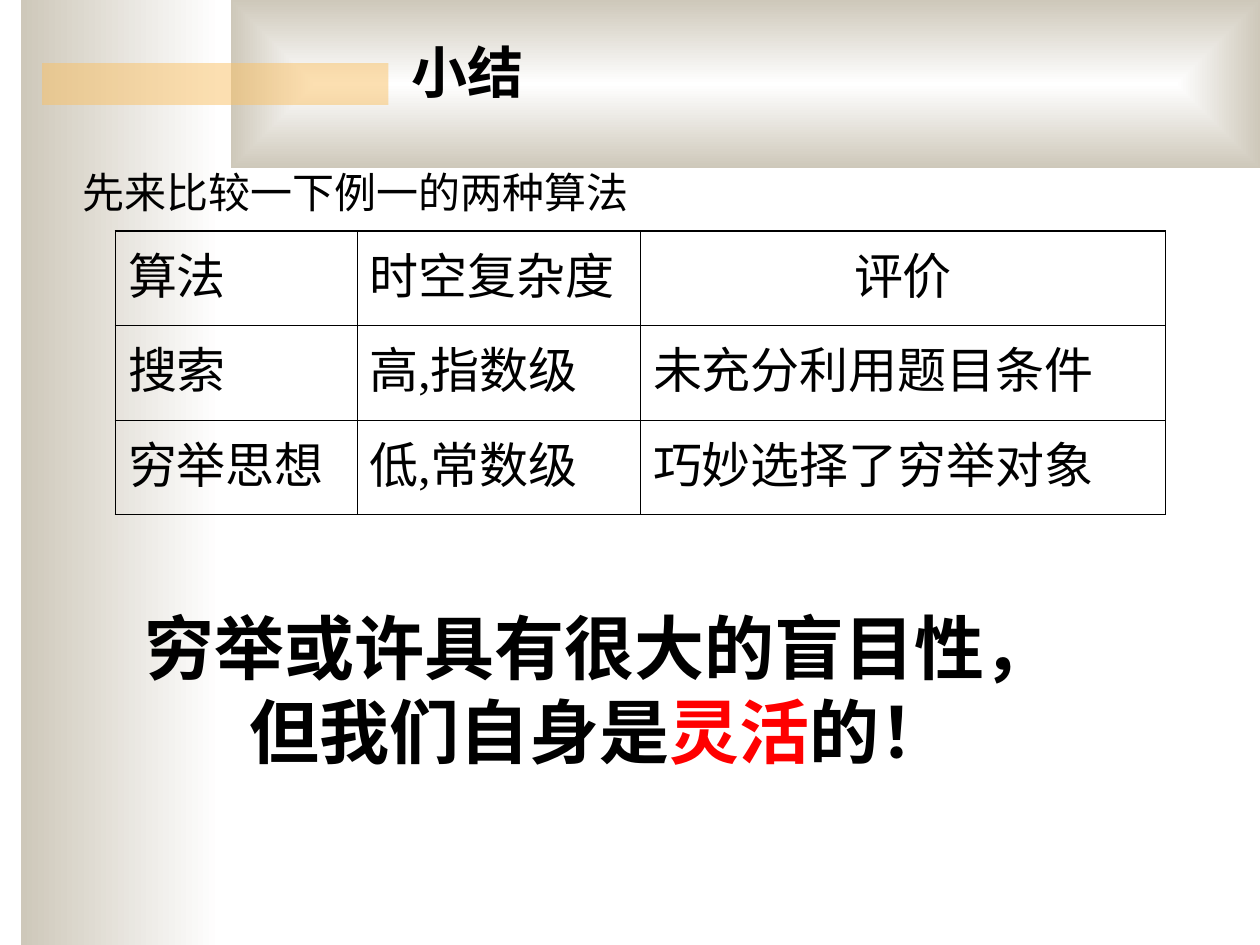
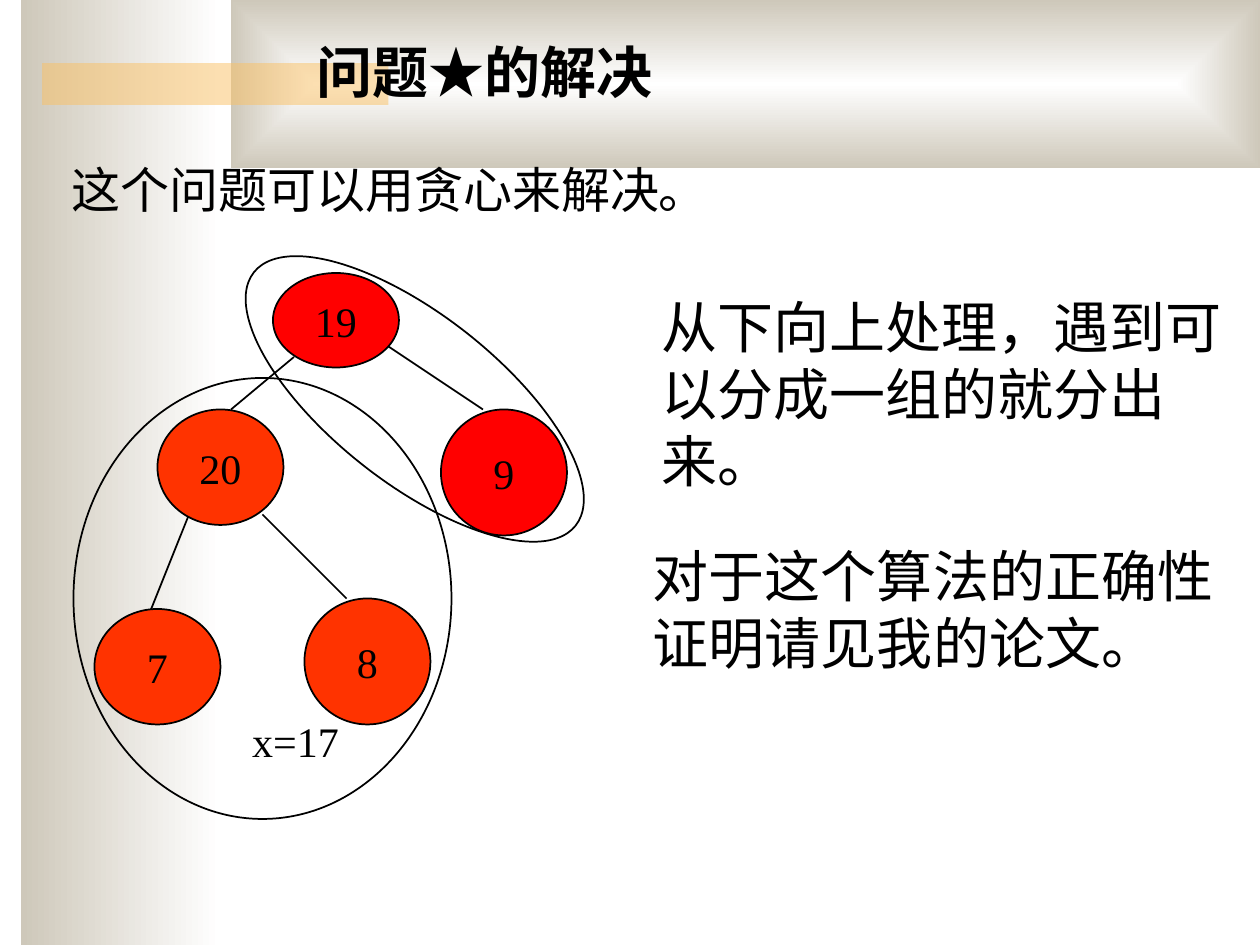
"""Build two slides that compare the algorithms and solve the star problem."""
from lxml.etree import SubElement
from pptx import Presentation
from pptx.dml.color import RGBColor
from pptx.enum.shapes import MSO_CONNECTOR, MSO_SHAPE
from pptx.enum.text import MSO_ANCHOR, PP_ALIGN
from pptx.oxml.ns import qn
from pptx.util import Pt

BLACK = RGBColor(0x00, 0x00, 0x00)
WHITE = RGBColor(0xFF, 0xFF, 0xFF)
TAN = RGBColor(0xCE, 0xC8, 0xBA)
GOLD = RGBColor(0xFA, 0xC1, 0x64)
RED = RGBColor(0xFF, 0x00, 0x00)
ORANGE = RGBColor(0xFF, 0x33, 0x00)

BODY = {"name": "Times New Roman", "size": Pt(24), "bold": False}
TABLE_TEXT = BODY | {"size": Pt(28)}
LARGE = BODY | {"size": Pt(32)}
TITLE = LARGE | {"bold": True}
CONCLUSION = TITLE | {"size": Pt(40)}

OUTER_BORDER = 1.08
INNER_BORDER = 0.45


def points(*lengths):
    """Return the lengths as point values."""
    return [Pt(length) for length in lengths]


def write_text(frame, runs, font_format, alignment=PP_ALIGN.LEFT):
    """Write (text, colour) runs into a frame, keeping punctuation inside it."""
    paragraph = frame.paragraphs[0]
    paragraph.alignment = alignment
    paragraph._p.get_or_add_pPr().set("hangingPunct", "0")
    for text, color in runs:
        run = paragraph.add_run()
        run.text = text
        for name, value in font_format.items():
            setattr(run.font, name, value)
        run.font.color.rgb = color


def add_text(slide, box, runs, font_format, wrap=True, alignment=PP_ALIGN.LEFT):
    """Add a text box; a plain string becomes one black run."""
    frame = slide.shapes.add_textbox(*points(*box)).text_frame
    frame.word_wrap = wrap
    if isinstance(runs, str):
        runs = [(runs, BLACK)]
    write_text(frame, runs, font_format, alignment)


def add_plain_shape(slide, kind, box):
    """Add a preset shape without shadow, fill or line."""
    shape = slide.shapes.add_shape(kind, *points(*box))
    shape.shadow.inherit = False
    shape.fill.background()
    shape.line.fill.background()
    return shape


def add_gradient_band(slide, box):
    """Add a rectangle that fades from white at the right to tan at the left."""
    band = add_plain_shape(slide, MSO_SHAPE.RECTANGLE, box)
    band.fill.gradient()
    band.fill.gradient_angle = 180
    for stop, color, position in zip(band.fill.gradient_stops, (WHITE, TAN), (0, 1)):
        stop.color.rgb = color
        stop.position = position
    return band


def fade_from_centre(band):
    """Turn the linear gradient of a band into a rectangular one."""
    gradient = band.fill._xPr.find(qn("a:gradFill"))
    gradient.remove(gradient.find(qn("a:lin")))
    centre = SubElement(gradient, qn("a:path"), {"path": "rect"})
    sides = dict.fromkeys("ltrb", "50000")
    SubElement(centre, qn("a:fillToRect"), sides)


def add_decorated_slide(presentation, title, title_box):
    """Add a blank slide with the shared bands and a title."""
    slide = presentation.slides.add_slide(presentation.slide_layouts[6])
    add_gradient_band(slide, (12, 0, 114, 540))
    fade_from_centre(add_gradient_band(slide, (132, 0, 588, 96)))
    accent = add_plain_shape(slide, MSO_SHAPE.RECTANGLE, (24, 36, 198, 24))
    accent.fill.solid()
    accent.fill.fore_color.rgb = GOLD
    color = accent.fill._xPr.find(f"{qn('a:solidFill')}/{qn('a:srgbClr')}")
    SubElement(color, qn("a:alpha"), {"val": "50000"})
    add_text(slide, title_box, title, TITLE)
    return slide


def set_cell_borders(cell, widths):
    """Give a cell black borders with widths for left, right, top and bottom."""
    properties = cell._tc.get_or_add_tcPr()
    for side, width in zip("LRTB", widths):
        line = SubElement(properties, qn(f"a:ln{side}"), {"w": str(Pt(width))})
        fill = SubElement(line, qn("a:solidFill"))
        SubElement(fill, qn("a:srgbClr"), {"val": str(BLACK)})


def add_comparison_table(slide, box, column_widths, rows):
    """Add an unfilled table with a heavier outer border."""
    last_row, last_column = len(rows) - 1, len(column_widths) - 1
    table = slide.shapes.add_table(len(rows), len(column_widths), *points(*box)).table
    table.first_row = table.horz_banding = False
    for column, width in zip(table.columns, column_widths):
        column.width = Pt(width)
    for row_index, texts in enumerate(rows):
        for column_index, text in enumerate(texts):
            cell = table.cell(row_index, column_index)
            edges = (column_index == 0, column_index == last_column,
                     row_index == 0, row_index == last_row)
            set_cell_borders(cell, [OUTER_BORDER if edge else INNER_BORDER
                                    for edge in edges])
            cell.fill.background()
            centred = row_index == 0 and column_index == last_column
            write_text(cell.text_frame, [(text, BLACK)], TABLE_TEXT,
                       PP_ALIGN.CENTER if centred else PP_ALIGN.LEFT)


def add_outline_ellipse(slide, box, rotation=0):
    """Add an ellipse with a thin black outline."""
    ellipse = add_plain_shape(slide, MSO_SHAPE.OVAL, box)
    ellipse.line.color.rgb = BLACK
    ellipse.line.width = Pt(1)
    ellipse.rotation = rotation
    return ellipse


def add_node(slide, label, box, color):
    """Add a filled tree node with a centred label."""
    node = add_outline_ellipse(slide, box)
    node.fill.solid()
    node.fill.fore_color.rgb = color
    node.text_frame.word_wrap = False
    node.text_frame.vertical_anchor = MSO_ANCHOR.MIDDLE
    write_text(node.text_frame, [(label, BLACK)], BODY, PP_ALIGN.CENTER)


def add_branch(slide, ends):
    """Add a thin black line between two tree nodes."""
    branch = slide.shapes.add_connector(MSO_CONNECTOR.STRAIGHT, *points(*ends))
    branch.line.color.rgb = BLACK
    branch.line.width = Pt(1)
    SubElement(branch._element.spPr, qn("a:effectLst"))


def build_summary_slide(presentation):
    """Build the slide that compares the two algorithms."""
    slide = add_decorated_slide(presentation, "小结", (228, 18, 324, 46))
    add_text(slide, (40, 91.5, 330, 36), "先来比较一下例一的两种算法", BODY, wrap=False)
    rows = [
        ("算法", "时空复杂度", "评价"),
        ("搜索", "高,指数级", "未充分利用题目条件"),
        ("穷举思想", "低,常数级", "巧妙选择了穷举对象"),
    ]
    add_comparison_table(slide, (66, 132, 600, 162), (138, 162, 300), rows)
    conclusion = [("穷举或许具有很大的盲目性，但我们自身是", BLACK), ("灵活", RED), ("的！", BLACK)]
    add_text(slide, (66, 342, 553, 104), conclusion, CONCLUSION,
             alignment=PP_ALIGN.CENTER)


def build_solution_slide(presentation):
    """Build the slide that groups the tree nodes from the bottom up."""
    slide = add_decorated_slide(presentation, "问题★的解决", (174, 18, 432, 46))
    add_text(slide, (34, 87.5, 382, 41), "这个问题可以用贪心来解决。", TABLE_TEXT, wrap=False)
    branches = [(168, 204, 132, 234), (108, 294, 84, 354),
                (150, 294, 198, 342), (222, 198, 276, 234)]
    for ends in branches:
        add_branch(slide, ends)
    add_text(slide, (137, 405.5, 64, 36), "x=17", BODY, wrap=False)
    add_text(slide, (371, 163.5, 349, 84), "从下向上处理，遇到可以分成一组的就分出来。", LARGE)
    nodes = [
        ("7", (54, 348, 72, 66), ORANGE),
        ("8", (174, 342, 72, 72), ORANGE),
        ("20", (90, 234, 72, 66), ORANGE),
        ("9", (252, 234, 72, 72), RED),
        ("19", (156, 156, 72, 54), RED),
    ]
    for label, box, color in nodes:
        add_node(slide, label, box, color)
    add_outline_ellipse(slide, (42, 216, 216, 252))
    add_outline_ellipse(slide, (120, 180, 234, 96), rotation=38.2)
    add_text(slide, (366, 306, 337, 84), "对于这个算法的正确性证明请见我的论文。", LARGE)


def main():
    """Build and save the presentation."""
    presentation = Presentation()
    presentation.slide_width, presentation.slide_height = points(720, 540)
    build_summary_slide(presentation)
    build_solution_slide(presentation)
    presentation.save("out.pptx")


if __name__ == "__main__":
    main()
